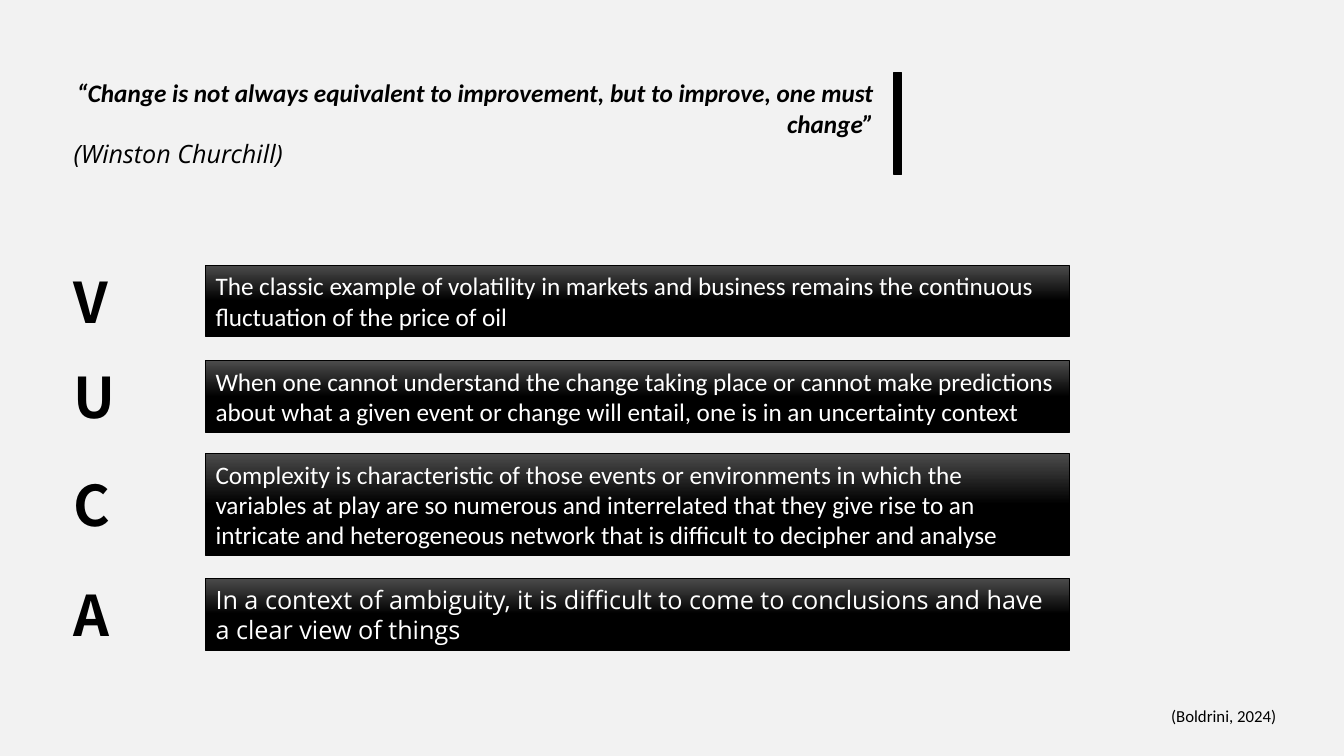
import dataclasses
import typing

import pptx
import pptx.dml.color
import pptx.enum.shapes
import pptx.enum.text
import pptx.util

BLACK = pptx.dml.color.RGBColor(0x00, 0x00, 0x00)
WHITE = pptx.dml.color.RGBColor(0xFF, 0xFF, 0xFF)
CHARCOAL = pptx.dml.color.RGBColor(0x4B, 0x4B, 0x4B)
PAPER = pptx.dml.color.RGBColor(0xF2, 0xF2, 0xF2)

WIDTH = pptx.util.Inches(13.33)
HEIGHT = pptx.util.Inches(7.5)

BODY_FONT = "Calibri"
ACCENT_FONT = "Open Sans"
LETTER_FONT = "Noto Sans CJK TC"

ALIGN = pptx.enum.text.PP_ALIGN
ANCHOR = pptx.enum.text.MSO_ANCHOR
RECTANGLE = pptx.enum.shapes.MSO_SHAPE.RECTANGLE

LEFT_EDGE = 4.73
QUOTE_TOP = 9.6
QUOTE_HEIGHT = 13.47
LETTER_WIDTH = 4.05
LETTER_HEIGHT = 10.27
PANEL_LEFT = 15.3
PANEL_WIDTH = 64.28
TWO_LINES = 9.47
THREE_LINES = 13.47


@dataclasses.dataclass(frozen=True)
class Area:
    left: float
    top: float
    width: float
    height: float

    def lengths(self) -> dict[str, int]:
        return {
            "left": round(WIDTH * self.left / 100),
            "top": round(HEIGHT * self.top / 100),
            "width": round(WIDTH * self.width / 100),
            "height": round(HEIGHT * self.height / 100),
        }


@dataclasses.dataclass(frozen=True)
class Line:
    text: str
    size: float = 18
    font: str = BODY_FONT
    color: pptx.dml.color.RGBColor = BLACK
    bold: bool = False
    italic: bool = False
    align: ALIGN = ALIGN.LEFT


@dataclasses.dataclass(frozen=True)
class Concept:
    letter: str
    text: str
    top: float
    height: float = TWO_LINES
    font: str = BODY_FONT


QUOTE = [
    Line(
        "“Change is not always equivalent to improvement, but to improve, one must change”",
        bold=True,
        italic=True,
        align=ALIGN.RIGHT,
    ),
    Line("(Winston Churchill)", font=ACCENT_FONT, italic=True),
]

CONCEPTS = [
    Concept(
        "V",
        "The classic example of volatility in markets and business remains the "
        "continuous fluctuation of the price of oil",
        35.07,
    ),
    Concept(
        "U",
        "When one cannot understand the change taking place or cannot make predictions "
        "about what a given event or change will entail, one is in an uncertainty context",
        47.73,
    ),
    Concept(
        "C",
        "Complexity is characteristic of those events or environments in which the "
        "variables at play are so numerous and interrelated that they give rise to an "
        "intricate and heterogeneous network that is difficult to decipher and analyse",
        60,
        THREE_LINES,
    ),
    Concept(
        "A",
        "In a context of ambiguity, it is difficult to come to conclusions and have "
        "a clear view of things",
        76.53,
        font=ACCENT_FONT,
    ),
]


def apply(target: typing.Any, values: dict[str, typing.Any]) -> None:
    for name, value in values.items():
        setattr(target, name, value)


def write(box: typing.Any, lines: list[Line], anchor: ANCHOR = ANCHOR.TOP) -> None:
    frame = box.text_frame
    apply(frame, {
        "word_wrap": True,
        "auto_size": pptx.enum.text.MSO_AUTO_SIZE.SHAPE_TO_FIT_TEXT,
        "vertical_anchor": anchor,
    })
    for index, line in enumerate(lines):
        para = frame.add_paragraph() if index else frame.paragraphs[0]
        para.alignment = line.align
        span = para.add_run()
        span.text = line.text
        apply(span.font, {
            "name": line.font,
            "size": pptx.util.Pt(line.size),
            "bold": line.bold,
            "italic": line.italic,
        })
        span.font.color.rgb = line.color


def add_text(page: typing.Any, area: Area, line: Line) -> None:
    write(page.shapes.add_textbox(**area.lengths()), [line])


def add_block(page: typing.Any, area: Area, border: float) -> typing.Any:
    block = page.shapes.add_shape(RECTANGLE, **area.lengths())
    block.shadow.inherit = False
    block.fill.solid()
    block.fill.fore_color.rgb = BLACK
    block.line.color.rgb = BLACK
    block.line.width = pptx.util.Pt(border)
    return block


def add_concept(page: typing.Any, concept: Concept) -> None:
    letter_top = concept.top + (concept.height - LETTER_HEIGHT) / 2
    add_text(
        page,
        Area(LEFT_EDGE, letter_top, LETTER_WIDTH, LETTER_HEIGHT),
        Line(concept.letter, size=40, font=LETTER_FONT, bold=True),
    )
    panel = add_block(page, Area(PANEL_LEFT, concept.top, PANEL_WIDTH, concept.height), 0.5)
    panel.fill.gradient()
    panel.fill.gradient_angle = 270
    shades = [(0, CHARCOAL), (0.5, BLACK)]
    for stop, (position, color) in zip(panel.fill.gradient_stops, shades):
        stop.position = position
        stop.color.rgb = color
    write(panel, [Line(concept.text, font=concept.font, color=WHITE)], ANCHOR.MIDDLE)


def main() -> None:
    deck = pptx.Presentation()
    apply(deck, {"slide_width": WIDTH, "slide_height": HEIGHT})
    page = deck.slides.add_slide(deck.slide_layouts[5])
    page.background.fill.solid()
    page.background.fill.fore_color.rgb = PAPER

    title = page.shapes.title
    apply(title, Area(LEFT_EDGE, QUOTE_TOP, 61.05, QUOTE_HEIGHT).lengths())
    write(title, QUOTE)
    add_block(page, Area(66.53, QUOTE_TOP, 0.53, QUOTE_HEIGHT), 1)

    for concept in CONCEPTS:
        add_concept(page, concept)

    add_text(page, Area(86.4, 92.67, 13.58, 4), Line("(Boldrini, 2024)", size=12))
    deck.save("out.pptx")


if __name__ == "__main__":
    main()
